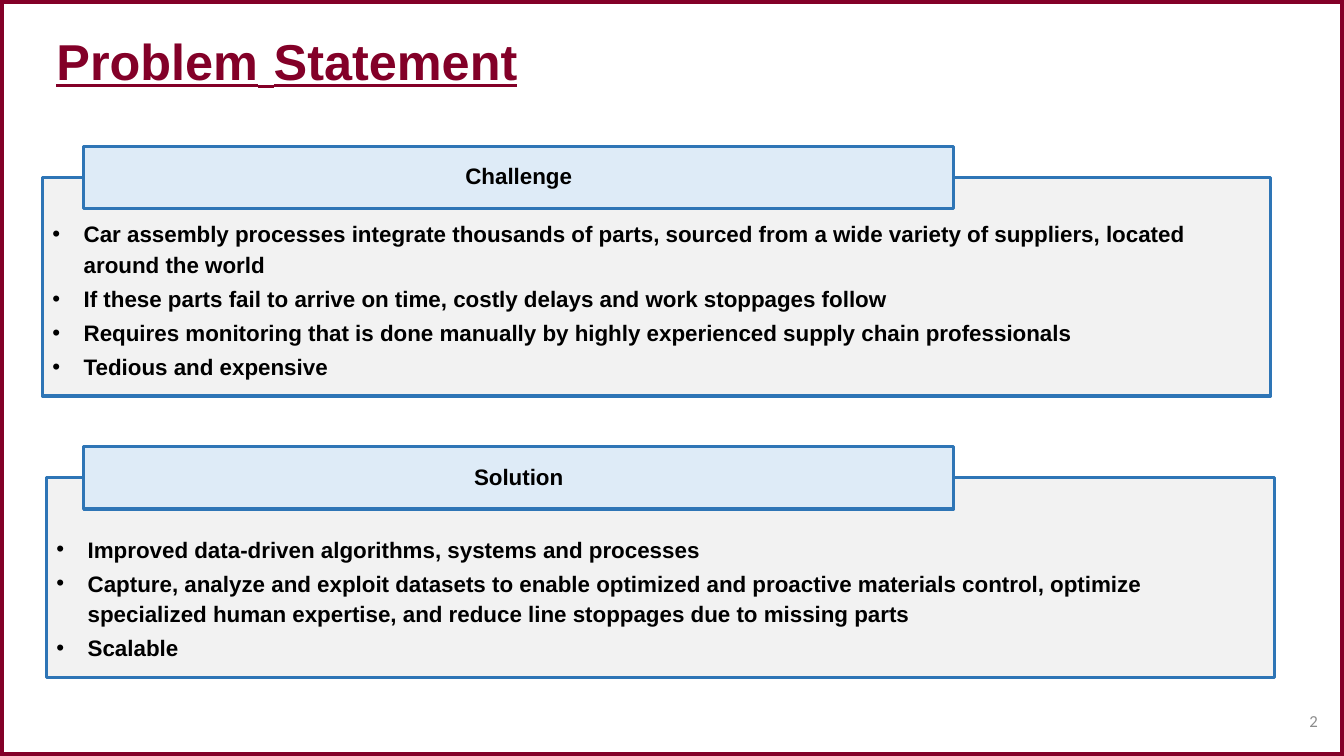
"""Build the problem statement slide."""
import dataclasses

import pptx
import pptx.dml.color
import pptx.enum.shapes
import pptx.enum.text
import pptx.oxml.ns
import pptx.util
from lxml import etree

Inches, Pt = pptx.util.Inches, pptx.util.Pt
ALIGN, ANCHOR = pptx.enum.text.PP_ALIGN, pptx.enum.text.MSO_ANCHOR
RECT = pptx.enum.shapes.MSO_SHAPE.RECTANGLE


@dataclasses.dataclass(frozen=True)
class Theme:
    """Colours, fonts and type sizes."""
    maroon: str = "830028"
    blue: str = "2E75B6"
    pale_blue: str = "DEEBF7"
    panel: str = "F2F2F2"
    ink: str = "000000"
    grey: str = "8C8C8C"
    font: str = "Arial"
    number_font: str = "Calibri"
    title: int = 36
    title_gap: int = 40
    body: int = 16
    number: int = 12


def rgb(color):
    """Return a colour from its hex digits."""
    return pptx.dml.color.RGBColor.from_string(color)


def write(p, text, *, font, size, color, bold=False, underline=None):
    """Add a formatted run to a paragraph."""
    r = p.add_run()
    r.text = text
    r.font.name, r.font.size = font, Pt(size)
    r.font.bold, r.font.underline = bold, underline
    r.font.color.rgb = rgb(color)


class SlideBuilder:
    """Hold the theme and the slide; box lengths are percent of the slide."""

    def __init__(self, prs, theme):
        """Add a slide with a title and two body placeholders."""
        self.prs, self.theme = prs, theme
        self.slide = prs.slides.add_slide(prs.slide_layouts[3])

    def box(self, x, y, w, h):
        """Turn percent of the slide into lengths."""
        width, height = self.prs.slide_width, self.prs.slide_height
        return [int(share * full / 100) for share, full in
                ((x, width), (y, height), (w, width), (h, height))]

    def place(self, sp, box):
        """Move a placeholder to a box."""
        sp.left, sp.top, sp.width, sp.height = self.box(*box)

    def frame_text(self, sp, anchor, margins=(0.1, 0.05, 0.1, 0.05)):
        """Set wrapping, anchor and margins, and return the text frame."""
        tf = sp.text_frame
        tf.word_wrap, tf.vertical_anchor = True, anchor
        tf.auto_size = pptx.enum.text.MSO_AUTO_SIZE.NONE
        (tf.margin_left, tf.margin_top,
         tf.margin_right, tf.margin_bottom) = map(Inches, margins)
        return tf

    def paint(self, sp, fill, line, width):
        """Set the fill and outline of a shape."""
        if fill:
            sp.fill.solid()
            sp.fill.fore_color.rgb = rgb(fill)
        else:
            sp.fill.background()
        sp.line.color.rgb, sp.line.width = rgb(line), Pt(width)

    def rect(self, box, fill, line, width):
        """Add a rectangle without a shadow."""
        sp = self.slide.shapes.add_shape(RECT, *self.box(*box))
        sp.shadow.inherit = False
        self.paint(sp, fill, line, width)
        return sp

    def title(self, words, box):
        """Fill the title, with a larger gap between the words."""
        t, sp = self.theme, self.slide.shapes.title
        self.place(sp, box)
        p = self.frame_text(sp, ANCHOR.MIDDLE).paragraphs[0]
        p.alignment, p.line_spacing = ALIGN.LEFT, 0.9
        first, second = words
        for text, size in ((first, t.title), (" ", t.title_gap), (second, t.title)):
            write(p, text, font=t.font, size=size, color=t.maroon,
                  bold=True, underline=True)

    def bullets(self, idx, items, box):
        """Fill a body placeholder with a bulleted list."""
        t, sp = self.theme, self.slide.placeholders[idx]
        self.place(sp, box)
        self.paint(sp, t.panel, t.blue, 2.25)
        tf = self.frame_text(sp, ANCHOR.BOTTOM, (0.1, 0.1, 0.14, 0.16))
        for i, item in enumerate(items):
            p = tf.add_paragraph() if i else tf.paragraphs[0]
            pPr = p._p.get_or_add_pPr()
            pPr.set("marL", str(Inches(0.31)))
            pPr.set("indent", str(Inches(-0.31)))
            for tag, key, value in (("a:buFont", "typeface", t.font),
                                    ("a:buChar", "char", "•")):
                etree.SubElement(pPr, pptx.oxml.ns.qn(tag)).set(key, value)
            p.alignment, p.line_spacing = ALIGN.LEFT, 1.14
            p.space_before, p.space_after = Pt(0), Pt(2.4)
            write(p, item, font=t.font, size=t.body, color=t.ink, bold=True)

    def header(self, text, box):
        """Add a panel heading."""
        t = self.theme
        sp = self.rect(box, t.pale_blue, t.blue, 2.25)
        p = self.frame_text(sp, ANCHOR.MIDDLE, (0.14, 0.08, 0.14, 0.08)).paragraphs[0]
        p.alignment, p.line_spacing = ALIGN.CENTER, 0.9
        write(p, text, font=t.font, size=t.body, color=t.ink, bold=True)

    def page_number(self, text, box):
        """Add the page number."""
        t = self.theme
        sp = self.slide.shapes.add_textbox(*self.box(*box))
        p = self.frame_text(sp, ANCHOR.MIDDLE).paragraphs[0]
        p.alignment = ALIGN.RIGHT
        write(p, text, font=t.number_font, size=t.number, color=t.grey)


SECTIONS = [
    ("Challenge", 3.15, 19.33, 28.93, [
        "Car assembly processes integrate thousands of parts, sourced from a wide "
        "variety of suppliers, located around the world",
        "If these parts fail to arrive on time, costly delays and work stoppages follow",
        "Requires monitoring that is done manually by highly experienced supply chain "
        "professionals",
        "Tedious and expensive",
    ]),
    ("Solution", 3.45, 59.07, 26.4, [
        "Improved data-driven algorithms, systems and processes",
        "Capture, analyze and exploit datasets to enable optimized and proactive "
        "materials control, optimize specialized human expertise, and reduce line "
        "stoppages due to missing parts",
        "Scalable",
    ]),
]
HEADER_X, HEADER_W, HEADER_H, PANEL_W = 6.23, 64.74, 8.27, 91.4


def main():
    """Build and save the slide."""
    prs = pptx.Presentation()
    prs.slide_width, prs.slide_height = Inches(13.33), Inches(7.5)
    theme = Theme()
    page = SlideBuilder(prs, theme)
    page.rect((0, 0, 100, 100), None, theme.maroon, 6)
    page.title(("Problem", "Statement"), (3.45, 2, 93.25, 12.4))
    for idx, (name, x, y, height, items) in enumerate(SECTIONS, 1):
        page.bullets(idx, items, (x, y + HEADER_H / 2, PANEL_W, height))
        page.header(name, (HEADER_X, y, HEADER_W, HEADER_H))
    page.page_number("2", (68.27, 92.67, 30.53, 5.33))
    prs.save("out.pptx")


if __name__ == "__main__":
    main()
